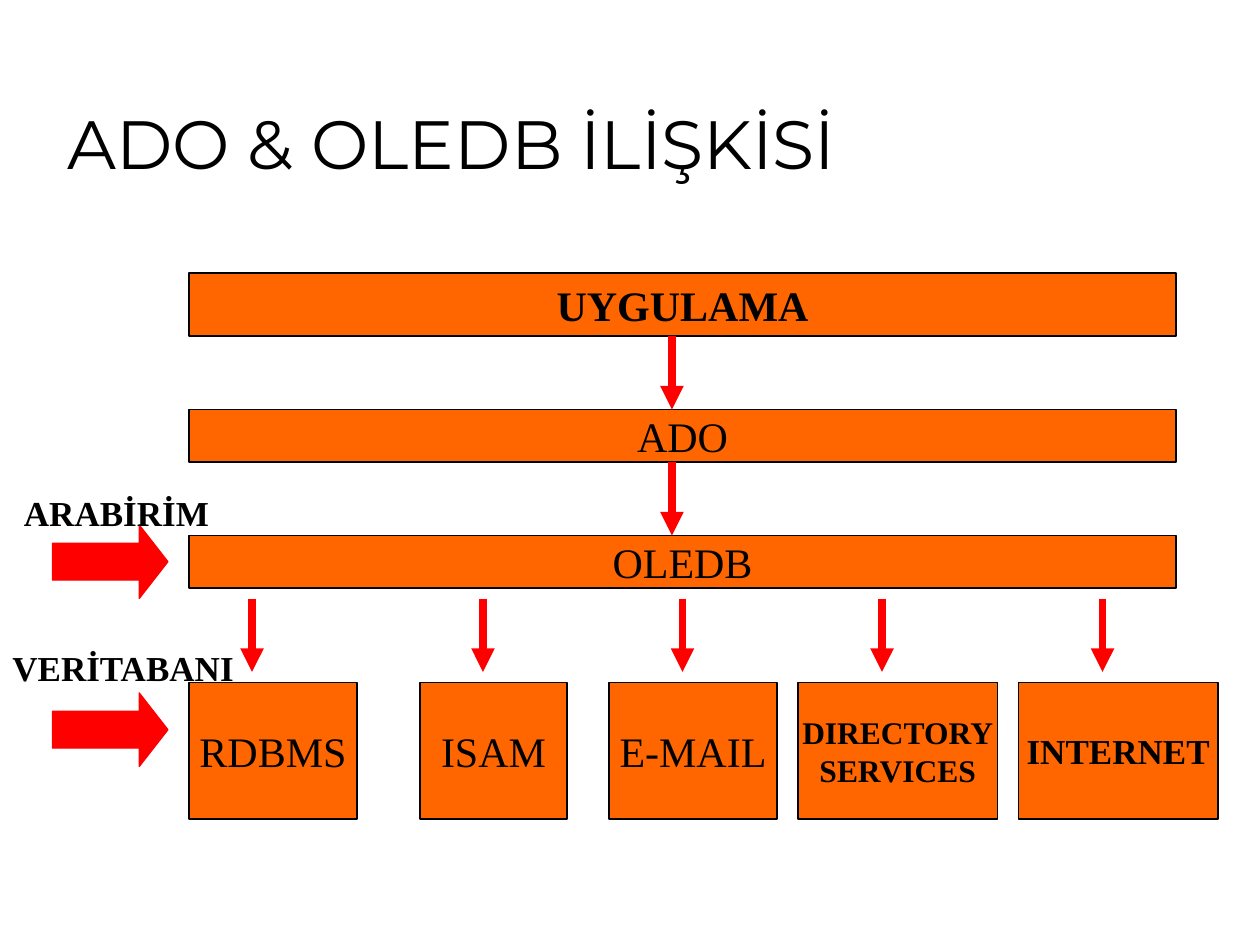
from pptx import Presentation, util as u
from pptx.dml.color import RGBColor
from pptx.enum import shapes, text
from pptx.oxml.ns import qn
from lxml import etree

COLORS = {"box": "FF6600", "arrow": "FF0000", "ink": "000000"}
BODY, HEADING = "Times New Roman", "Montserrat"
CELL = u.Inches(1) / 12  # the slide is a grid of 120 x 90 cells

TITLE = "ADO & OLEDB İLİŞKİSİ"
BAR_LEFT, BAR_WIDTH = 18, 94
LAYER_ARROW_X = 64
# text, top row, rows, bold
LAYERS = [("UYGULAMA", 26, 6, True), ("ADO", 39, 5, False), ("OLEDB", 51, 5, False)]

SOURCE_TOP, SOURCE_ROWS = 65, 13
SOURCE_ARROW_ROWS = 57, 64
# lines, left column, columns, arrow column, size, bold
SOURCES = [
    (["RDBMS"], 18, 16, 24, 24, False),
    (["ISAM"], 40, 14, 46, 24, False),
    (["E-MAIL"], 58, 16, 65, 24, False),
    (["DIRECTORY", "SERVICES"], 76, 19, 84, 18, True),
    (["INTERNET"], 97, 19, 105, 20, True),
]
# text, label left, label top, label columns, arrow top
POINTERS = [("ARABİRİM", 1.1, 46.2, 20, 50), ("VERİTABANI", 0, 61, 23.8, 66)]


def grid(*cells):
    return [round(c * CELL) for c in cells]


def color(name):
    return RGBColor.from_string(COLORS[name])


def write(sp, lines, size, bold=False, font=BODY, align=text.PP_ALIGN.LEFT,
          anchor=text.MSO_ANCHOR.TOP, wrap=False):
    tf = sp.text_frame
    tf.word_wrap = wrap
    tf.vertical_anchor = anchor
    tf.text = "\n".join(lines)
    for p in tf.paragraphs:
        p.alignment = align
        p.font.name, p.font.size, p.font.bold = font, u.Pt(size), bold
        p.font.color.rgb = color("ink")
    return tf


def add_filled(s, kind, cells, fill, line):
    sp = s.shapes.add_shape(kind, *grid(*cells))
    sp.shadow.inherit = False
    sp.fill.solid()
    sp.fill.fore_color.rgb = color(fill)
    sp.line.color.rgb = color(line)
    sp.line.width = u.Pt(0.75)
    return sp


def add_box(s, cells, lines, size, bold):
    sp = add_filled(s, shapes.MSO_SHAPE.RECTANGLE, cells, "box", "ink")
    write(sp, lines, size, bold, align=text.PP_ALIGN.CENTER,
          anchor=text.MSO_ANCHOR.MIDDLE)


def add_down_arrow(s, x, top, bottom):
    line = s.shapes.add_connector(shapes.MSO_CONNECTOR.STRAIGHT, *grid(x, top, x, bottom))
    line.line.color.rgb = color("arrow")
    line.line.width = u.Pt(4.5)
    etree.SubElement(line.line._get_or_add_ln(), qn("a:tailEnd"), type="triangle")
    etree.SubElement(line._element.spPr, qn("a:effectLst"))


def main():
    prs = Presentation()
    prs.slide_width, prs.slide_height = grid(120, 90)
    s = prs.slides.add_slide(prs.slide_layouts[6])

    title = s.shapes.add_textbox(*grid(5.25, 3, 102, 15))
    tf = write(title, [TITLE], 39, font=HEADING, anchor=text.MSO_ANCHOR.BOTTOM, wrap=True)
    tf.paragraphs[0].space_after = u.Pt(5)

    for label, top, rows, bold in LAYERS:
        add_box(s, (BAR_LEFT, top, BAR_WIDTH, rows), [label], 24, bold)
    for (_, top, rows, _), (_, next_top, _, _) in zip(LAYERS, LAYERS[1:]):
        add_down_arrow(s, LAYER_ARROW_X, top + rows, next_top)

    for lines, left, columns, arrow_x, size, bold in SOURCES:
        add_box(s, (left, SOURCE_TOP, columns, SOURCE_ROWS), lines, size, bold)
        add_down_arrow(s, arrow_x, *SOURCE_ARROW_ROWS)

    for label, left, top, columns, arrow_top in POINTERS:
        arrow = add_filled(s, shapes.MSO_SHAPE.RIGHT_ARROW, (5, arrow_top, 11, 7),
                           "arrow", "arrow")
        arrow.adjustments[1] = 0.39
        write(s.shapes.add_textbox(*grid(left, top, columns, 5.3)), [label], 20, True)

    prs.save("out.pptx")


if __name__ == "__main__":
    main()
